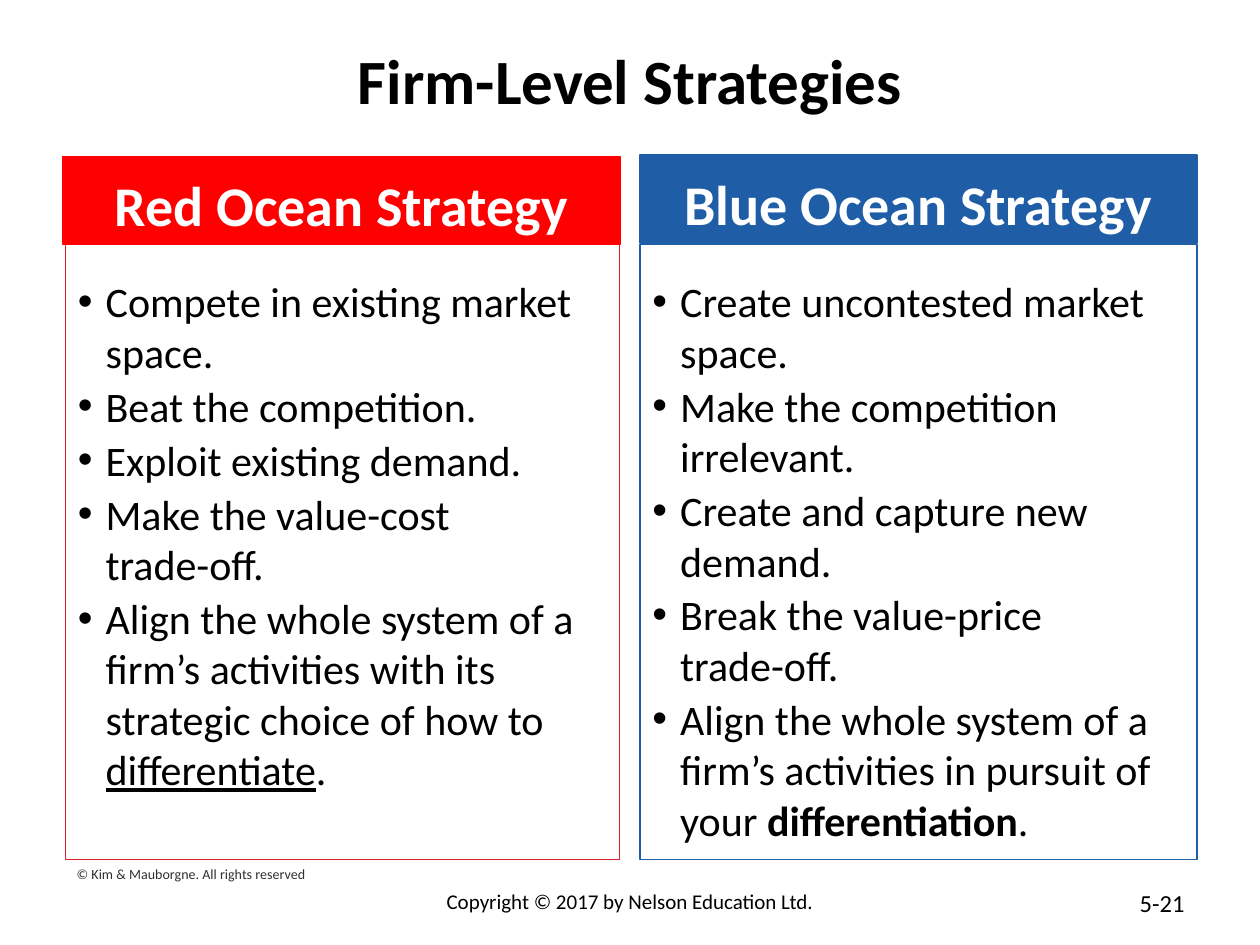
from lxml import etree
from pptx import Presentation
from pptx.dml.color import RGBColor
from pptx.enum.shapes import MSO_SHAPE
from pptx.enum.text import MSO_ANCHOR, PP_ALIGN
from pptx.oxml.ns import qn
from pptx.util import Inches, Pt

RECTANGLE = MSO_SHAPE.RECTANGLE
TOP, MIDDLE, BOTTOM = MSO_ANCHOR.TOP, MSO_ANCHOR.MIDDLE, MSO_ANCHOR.BOTTOM
LEFT, CENTER, RIGHT = PP_ALIGN.LEFT, PP_ALIGN.CENTER, PP_ALIGN.RIGHT

FONT = "Calibri"
BLACK, WHITE, GRAY = "000000", "FFFFFF", "303030"
RED, DARK_RED, BLUE = "FF0000", "DA1F28", "1F5DA7"

RED_POINTS = [
    [("Compete in existing market space.", "")],
    [("Beat the competition.", "")],
    [("Exploit existing demand.", "")],
    [("Make the value-cost\ntrade-off.", "")],
    [
        ("Align the whole system of a firm’s activities with its strategic choice of how to ", ""),
        ("differentiate", "underline"),
        (".", ""),
    ],
]
BLUE_POINTS = [
    [("Create uncontested market space.", "")],
    [("Make the competition irrelevant.", "")],
    [("Create and capture new demand.", "")],
    [("Break the value-price\ntrade-off.", "")],
    [
        ("Align the whole system of a firm’s activities in pursuit of your ", ""),
        ("differentiation", "bold"),
        (".", ""),
    ],
]


def color(value):
    """Turn a hex string into a colour."""
    return RGBColor.from_string(value)


def add_run(paragraph, text, size, text_color, bold=False, underline=False):
    """Add styled text, with line breaks where the text has them."""
    for index, line in enumerate(text.split("\n")):
        if index:
            paragraph.add_line_break()
        run = paragraph.add_run()
        run.text = line
        run.font.name = FONT
        run.font.size = Pt(size)
        run.font.color.rgb = color(text_color)
        run.font.bold = bold
        run.font.underline = underline


def add_label(slide, box, text, size, text_color=BLACK, align=LEFT, anchor=TOP, bold=False):
    """Add a text box with one line of text."""
    frame = slide.shapes.add_textbox(*map(Inches, box)).text_frame
    frame.word_wrap = True
    frame.vertical_anchor = anchor
    paragraph = frame.paragraphs[0]
    paragraph.alignment = align
    add_run(paragraph, text, size, text_color, bold)


def add_panel(slide, box, line_color, fill_color=None):
    """Add an outlined rectangle and return its text frame."""
    shape = slide.shapes.add_shape(RECTANGLE, *map(Inches, box))
    shape.shadow.inherit = False
    shape.line.color.rgb = color(line_color)
    shape.line.width = Pt(0.75)
    if fill_color:
        shape.fill.solid()
        shape.fill.fore_color.rgb = color(fill_color)
    else:
        shape.fill.background()
    shape.text_frame.word_wrap = True
    return shape.text_frame


def add_header(slide, box, text, fill_color):
    """Add the filled heading of a strategy column."""
    frame = add_panel(slide, box, fill_color, fill_color)
    frame.vertical_anchor = BOTTOM
    paragraph = frame.paragraphs[0]
    paragraph.alignment = CENTER
    add_run(paragraph, text, 32, WHITE, bold=True)


def add_bullet(paragraph):
    """Give a paragraph a hanging round bullet."""
    properties = paragraph._p.get_or_add_pPr()
    properties.set("marL", str(Inches(0.22)))
    properties.set("indent", str(Inches(-0.22)))
    etree.SubElement(properties, qn("a:buFont")).set("typeface", "Arial")
    etree.SubElement(properties, qn("a:buChar")).set("char", "•")


def add_points(slide, box, points, line_color):
    """Add the outlined bullet list of a strategy column."""
    frame = add_panel(slide, box, line_color)
    frame.vertical_anchor = TOP
    frame.margin_top = Inches(0.25)
    for index, runs in enumerate(points):
        paragraph = frame.add_paragraph() if index else frame.paragraphs[0]
        add_bullet(paragraph)
        paragraph.alignment = LEFT
        if index:
            paragraph.space_before = Pt(2)
        for text, style in runs:
            add_run(paragraph, text, 24, BLACK, style == "bold", style == "underline")


def add_footer(slide, box):
    """Add the copyright line and the slide number."""
    left, top, width, height = box
    center_width, number_width = 4.33, 2.33
    center_left = left + (width - center_width) / 2
    number_left = left + width - number_width
    add_label(slide, (center_left, top, center_width, height),
              "Copyright © 2017 by Nelson Education Ltd.", 12, align=CENTER)
    add_label(slide, (number_left, top, number_width, height), "5-21", 14, align=RIGHT)


def main():
    """Build the strategy comparison slide."""
    presentation = Presentation()
    presentation.slide_width = Inches(10)
    presentation.slide_height = Inches(7.5)
    slide = presentation.slides.add_slide(presentation.slide_layouts[6])
    add_label(slide, (0.5, 0.34, 9, 0.58), "Firm-Level Strategies", 36,
              align=CENTER, anchor=MIDDLE, bold=True)
    add_points(slide, (0.52, 1.94, 4.4, 4.88), RED_POINTS, DARK_RED)
    add_header(slide, (0.5, 1.24, 4.42, 0.7), "Red Ocean Strategy", RED)
    add_points(slide, (5.08, 1.94, 4.42, 4.88), BLUE_POINTS, BLUE)
    add_header(slide, (5.08, 1.23, 4.42, 0.7), "Blue Ocean Strategy", BLUE)
    add_label(slide, (0.51, 6.82, 2.44, 0.24),
              "© Kim & Mauborgne. All rights reserved", 8, GRAY)
    add_footer(slide, (0.5, 7, 9, 0.35))
    presentation.save("out.pptx")


if __name__ == "__main__":
    main()
